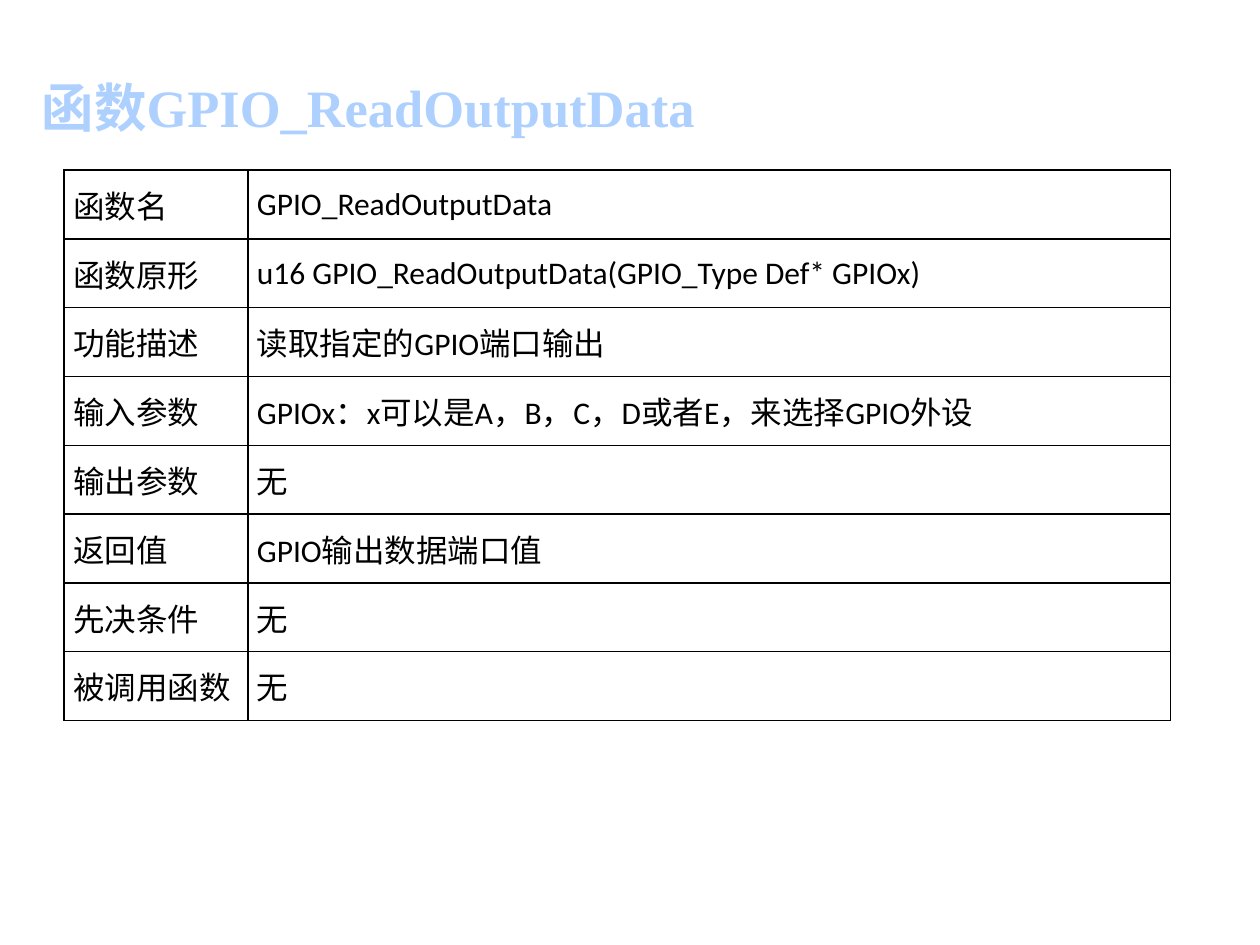
import pptx
import pptx.dml.color
import pptx.enum.text
import pptx.oxml
import pptx.oxml.ns
import pptx.util
from pptx.util import Inches

TITLE_BLUE = pptx.dml.color.RGBColor(0xAD, 0xD0, 0xFF)
BLACK = pptx.dml.color.RGBColor(0x00, 0x00, 0x00)
WHITE = pptx.dml.color.RGBColor(0xFF, 0xFF, 0xFF)

FUNCTION_ROWS = [
    ("函数名", "GPIO_ReadOutputData"),
    ("函数原形", "u16 GPIO_ReadOutputData(GPIO_Type Def* GPIOx)"),
    ("功能描述", "读取指定的GPIO端口输出"),
    ("输入参数", "GPIOx：x可以是A，B，C，D或者E，来选择GPIO外设"),
    ("输出参数", "无"),
    ("返回值", "GPIO输出数据端口值"),
    ("先决条件", "无"),
    ("被调用函数", "无"),
]


class SlideBuilder:
    title_font, body_font = "Times New Roman", "Calibri"
    title_size, body_size = pptx.util.Pt(30), pptx.util.Pt(18)
    border_width = pptx.util.Pt(1)

    def __init__(self, slide):
        self.slide = slide

    def set_font(self, p, name, size, color, bold=False):
        p.font.name = name
        p.font.size = size
        p.font.bold = bold
        p.font.color.rgb = color

    def title(self, text, left, top, width, height):
        sp = self.slide.shapes.title
        sp.left, sp.top = Inches(left), Inches(top)
        sp.width, sp.height = Inches(width), Inches(height)
        tf = sp.text_frame
        tf.text = text
        tf.auto_size = pptx.enum.text.MSO_AUTO_SIZE.SHAPE_TO_FIT_TEXT
        tf.vertical_anchor = pptx.enum.text.MSO_ANCHOR.MIDDLE
        p = tf.paragraphs[0]
        p.alignment = pptx.enum.text.PP_ALIGN.LEFT
        self.set_font(p, self.title_font, self.title_size, TITLE_BLUE, bold=True)

    def table(self, rows, left, top, col_widths, height):
        frame = self.slide.shapes.add_table(
            len(rows), len(col_widths), Inches(left), Inches(top),
            Inches(sum(col_widths)), Inches(height))
        table = frame.table
        table.first_row = table.horz_banding = False
        for column, width in zip(table.columns, col_widths):
            column.width = Inches(width)
        for row, texts in zip(table.rows, rows):
            for cell, text in zip(row.cells, texts):
                self.cell(cell, text)

    def cell(self, cell, text):
        cell.text = text
        cell.vertical_anchor = pptx.enum.text.MSO_ANCHOR.MIDDLE
        cell.margin_left = cell.margin_right = Inches(0.07)
        cell.margin_top = cell.margin_bottom = 0
        p = cell.text_frame.paragraphs[0]
        p.alignment = pptx.enum.text.PP_ALIGN.JUSTIFY
        self.set_font(p, self.body_font, self.body_size, BLACK)
        self.borders(cell)
        cell.fill.solid()
        cell.fill.fore_color.rgb = WHITE

    def borders(self, cell):
        tc_pr = cell._tc.get_or_add_tcPr()
        for side in ("lnL", "lnR", "lnT", "lnB"):
            tc_pr.append(pptx.oxml.parse_xml(
                f'<a:{side} {pptx.oxml.ns.nsdecls("a")} w="{self.border_width}">'
                f'<a:solidFill><a:srgbClr val="{BLACK}"/></a:solidFill></a:{side}>'))


def main():
    prs = pptx.Presentation()
    prs.slide_width, prs.slide_height = Inches(10), Inches(7.5)
    title_only = prs.slide_layouts[5]
    builder = SlideBuilder(prs.slides.add_slide(title_only))

    # Heading
    builder.title("函数GPIO_ReadOutputData", 0.23, 0.54, 8.17, 0.61)

    # Function reference table
    builder.table(FUNCTION_ROWS, 0.51, 1.35, (1.46, 7.32), 4.37)

    prs.save("out.pptx")


if __name__ == "__main__":
    main()
